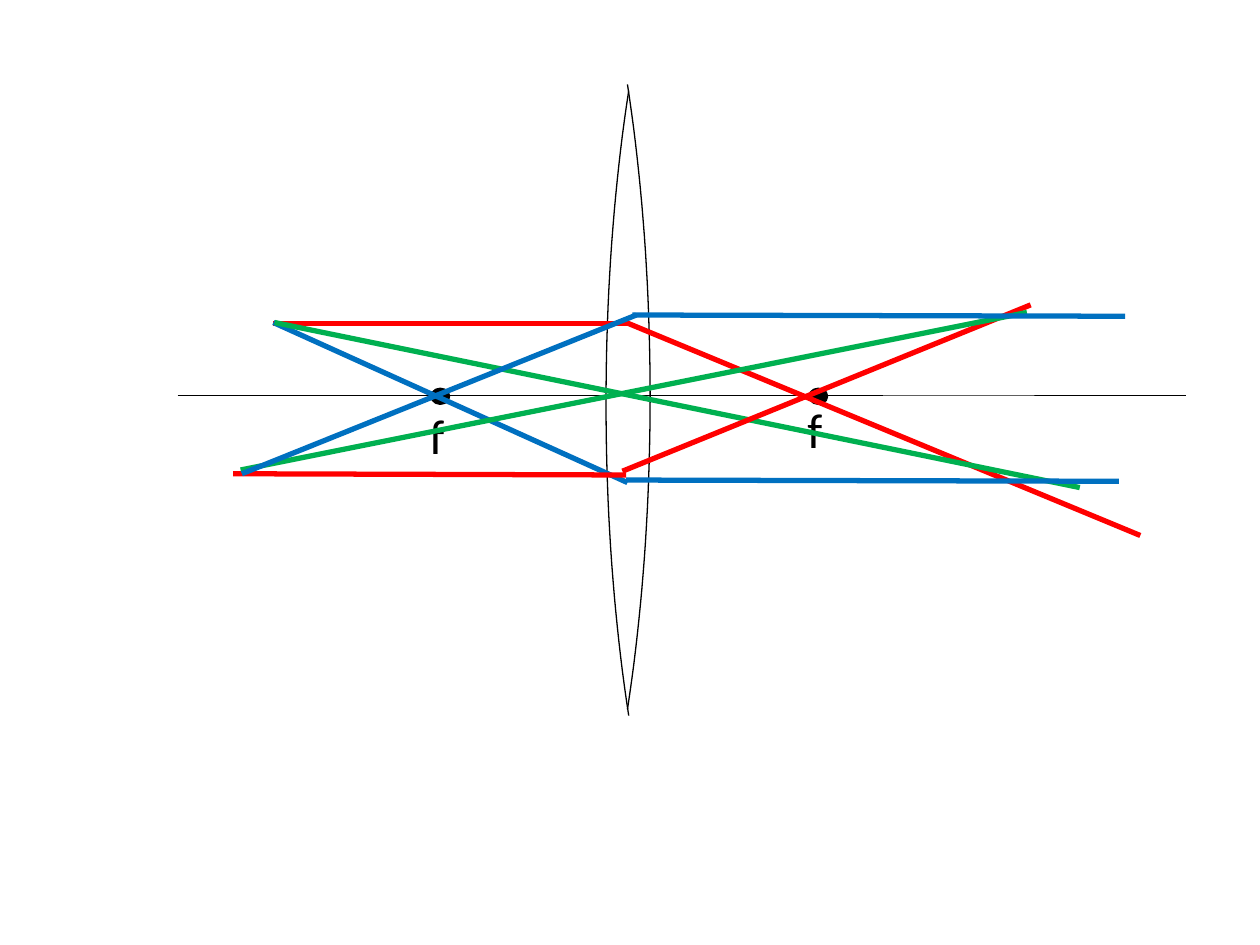
"""Build a ray diagram of a thin converging lens with its two focal points."""
from math import asin, cos, sin

from lxml import etree
from pptx import Presentation
from pptx.dml.color import RGBColor
from pptx.enum.shapes import MSO_CONNECTOR, MSO_SHAPE
from pptx.enum.text import MSO_AUTO_SIZE
from pptx.oxml.ns import qn
from pptx.util import Inches, Pt

STRAIGHT = MSO_CONNECTOR.STRAIGHT
RECTANGLE = MSO_SHAPE.RECTANGLE
OVAL = MSO_SHAPE.OVAL
FIT_SHAPE = MSO_AUTO_SIZE.SHAPE_TO_FIT_TEXT

COLORS = {"black": "000000", "white": "FFFFFF", "red": "FF0000",
          "blue": "0070C0", "green": "00B050"}
SLIDE_SIZE = (10, 7.5)
FONT = "Calibri"
THIN, THICK = 0.75, 3

AXIS = ((1.41, 3.14), (9.41, 3.14))
LENS_RADIUS = 1.61
LENS_HALF_HEIGHT = 2.48
TIP_OFFSET = 1.43
ARC_STEPS = 40
LENS_SIDES = [(3.55, 3.15, 1), (6.42, 3.2, -1)]

FOCUS_LEFTS = (6.43, 3.43)
FOCUS_TOP, FOCUS_SIZE = 3.09, (0.13, 0.11)
LABELS = [("f", 3.31, 3.17), ("f", 6.31, 3.12)]
LABEL_SIZE = (0.32, 0.57)
VEIL = (7.01, 2.35, 1.2, 1.56)
VEIL_OPACITY = 37

RAYS = [
    ("red", (2.17, 2.57), (4.99, 2.57)),
    ("blue", (2.17, 2.56), (4.98, 3.83)),
    ("red", (4.97, 2.56), (9.05, 4.25)),
    ("green", (2.18, 2.56), (8.57, 3.87)),
    ("blue", (4.97, 3.81), (8.88, 3.82)),
    ("red", (1.85, 3.76), (4.97, 3.77)),
    ("red", (4.94, 3.74), (8.18, 2.42)),
    ("green", (1.91, 3.73), (8.15, 2.48)),
    ("blue", (1.92, 3.76), (5.05, 2.5)),
    ("blue", (5.02, 2.5), (8.93, 2.51)),
]


def rgb(name):
    return RGBColor.from_string(COLORS[name])


def set_line(shape, color, width):
    shape.line.color.rgb = rgb(color)
    shape.line.width = Pt(width)


def add_line(slide, color, start, end, width):
    points = [Inches(value) for value in start + end]
    connector = slide.shapes.add_connector(STRAIGHT, *points)
    set_line(connector, color, width)
    etree.SubElement(connector._element.spPr, qn("a:effectLst"))


def add_solid(slide, kind, color, box):
    shape = slide.shapes.add_shape(kind, *[Inches(value) for value in box])
    shape.shadow.inherit = False
    shape.fill.solid()
    shape.fill.fore_color.rgb = rgb(color)
    return shape


def add_lens_side(slide, center_x, center_y, direction):
    cosine = TIP_OFFSET / LENS_RADIUS
    half_angle = asin((1 - cosine ** 2) ** 0.5)
    vertical_radius = LENS_HALF_HEIGHT / sin(half_angle)
    angles = [half_angle * (2 * step / ARC_STEPS - 1) for step in range(ARC_STEPS + 1)]
    points = [(Inches(center_x + direction * LENS_RADIUS * cos(angle)),
               Inches(center_y + vertical_radius * sin(angle))) for angle in angles]
    builder = slide.shapes.build_freeform(*points[0])
    builder.add_line_segments(points[1:], close=False)
    side = builder.convert_to_shape()
    side.shadow.inherit = False
    side.fill.background()
    set_line(side, "black", THIN)


def add_label(slide, text, left, top):
    box = [Inches(value) for value in (left, top) + LABEL_SIZE]
    frame = slide.shapes.add_textbox(*box).text_frame
    frame.word_wrap = False
    frame.auto_size = FIT_SHAPE
    frame.text = text
    font = frame.paragraphs[0].runs[0].font
    font.name, font.size = FONT, Pt(28)
    font.color.rgb = rgb("black")


def add_veil(slide):
    veil = add_solid(slide, RECTANGLE, "white", VEIL)
    veil.line.fill.background()
    color = veil._element.spPr.find(qn("a:solidFill"))[0]
    etree.SubElement(color, qn("a:alpha"), val=str(VEIL_OPACITY * 1000))


def main():
    presentation = Presentation()
    presentation.slide_width, presentation.slide_height = map(Inches, SLIDE_SIZE)
    slide = presentation.slides.add_slide(presentation.slide_layouts[6])
    for side in LENS_SIDES:
        add_lens_side(slide, *side)
    add_line(slide, "black", *AXIS, THIN)
    for left in FOCUS_LEFTS:
        focus = add_solid(slide, OVAL, "black", (left, FOCUS_TOP) + FOCUS_SIZE)
        set_line(focus, "black", 2)
    add_veil(slide)
    for label in LABELS:
        add_label(slide, *label)
    for color, start, end in RAYS:
        add_line(slide, color, start, end, THICK)
    presentation.save("out.pptx")


if __name__ == "__main__":
    main()
